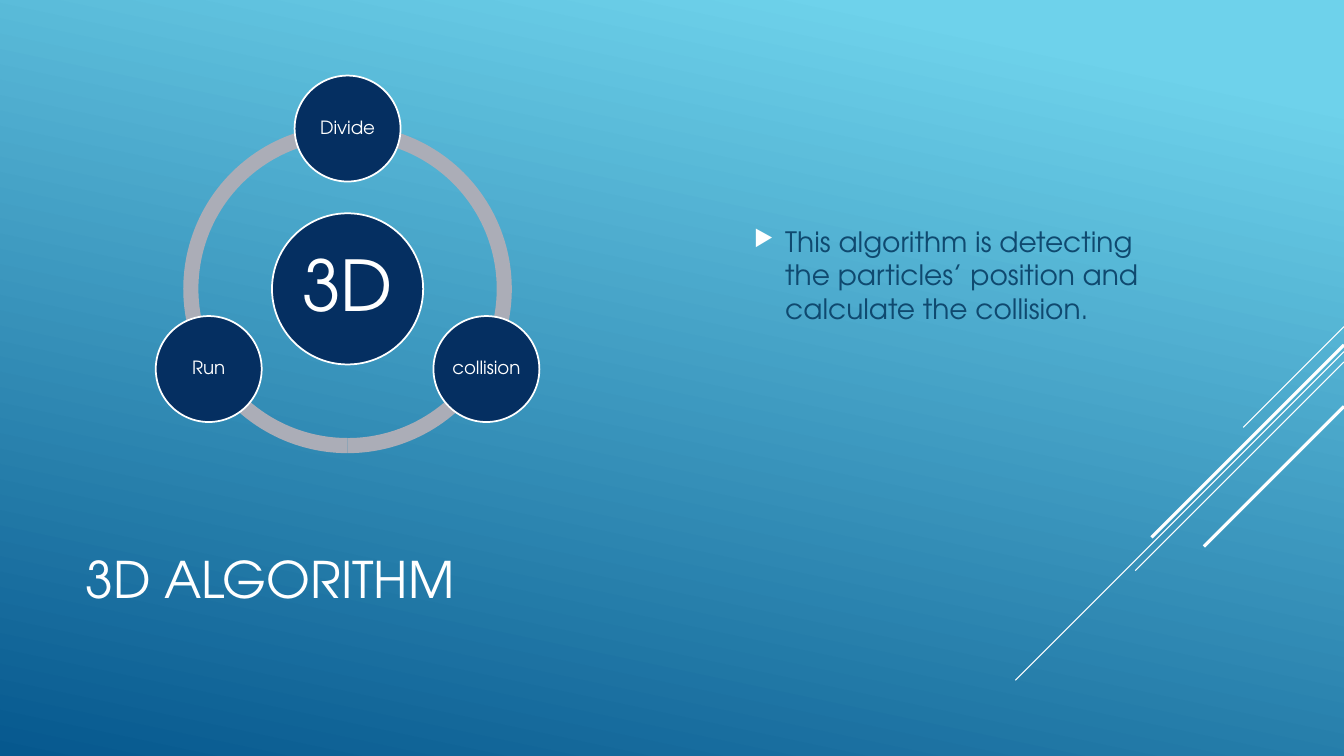
"""Builds the 3D algorithm slide with its orbit diagram."""
from math import cos, radians, sin

from lxml.etree import SubElement
from pptx import Presentation
from pptx.dml.color import RGBColor
from pptx.enum.shapes import MSO_CONNECTOR, MSO_SHAPE as SHAPE
from pptx.enum.text import MSO_ANCHOR, PP_ALIGN as ALIGN
from pptx.oxml.ns import qn
from pptx.util import Cm, Pt

FONT = "TeX Gyre Adventor"
WHITE, NAVY, GREY, TEAL = "FFFFFF", "052F61", "ABADB7", "0F496F"
WIDTH, HEIGHT = 33.87, 19.05


def rgb(value):
    return RGBColor.from_string(value)


def write(sp, text, size, color=WHITE, align=ALIGN.LEFT, inset=0.25, spacing=1.0, after=0):
    tf = sp.text_frame
    tf.word_wrap = True
    tf.vertical_anchor = MSO_ANCHOR.MIDDLE
    tf.margin_left = tf.margin_right = Cm(inset)
    tf.margin_top = tf.margin_bottom = Cm(min(inset, 0.18))
    p = tf.paragraphs[0]
    p.alignment, p.line_spacing, p.space_after = align, spacing, Pt(after)
    r = p.add_run()
    r.text = text
    r.font.name, r.font.size = FONT, Pt(size)
    r.font.color.rgb = rgb(color)
    return p


prs = Presentation()
prs.slide_width, prs.slide_height = Cm(WIDTH), Cm(HEIGHT)
s = prs.slides.add_slide(prs.slide_layouts[6])

bg = s.background.fill
bg.gradient()
bg.gradient_angle = 360 - 102
for stop, (position, color) in zip(bg.gradient_stops, [(0.1, "6ED2EB"), (1, "06588E")]):
    stop.position = position
    stop.color.rgb = rgb(color)

# top at the right edge, horizontal reach, line width
streaks = [(8.23, 2.54, 0.75), (8.86, 8.28, 0.75), (9.12, 5.26, 0.75),
           (8.69, 4.85, 2.25), (10.24, 3.53, 2.25)]
for top, reach, weight in streaks:
    line = s.shapes.add_connector(MSO_CONNECTOR.STRAIGHT, Cm(WIDTH), Cm(top),
                                  Cm(WIDTH - reach), Cm(top + reach))
    line.line.color.rgb = rgb(WHITE)
    line.line.width = Pt(weight)
    SubElement(line._element.spPr, qn("a:effectLst"))

title = s.shapes.add_textbox(Cm(1.9), Cm(12.47), Cm(23.7), Cm(4.19))
write(title, "3D ALGORITHM", 36)

center_x, center_y, ring, orbit = 8.76, 7.28, 8.28, 4.04
for start, end in [(90, 162), (18, 90), (162, 18)]:
    arc = s.shapes.add_shape(SHAPE.BLOCK_ARC, Cm(center_x - ring / 2),
                             Cm(center_y - ring / 2), Cm(ring), Cm(ring))
    arc.shadow.inherit = False
    arc.fill.solid()
    arc.fill.fore_color.rgb = rgb(GREY)
    arc.line.fill.background()
    arc.adjustments[0] = start * 0.6
    arc.adjustments[1] = end * 0.6
    arc.adjustments[2] = 0.046

circles = [("3D", 0, 0, 3.81, 50, 0.18), ("Divide", orbit, -90, 2.67, 13, 0.05),
           ("collision", orbit, 30, 2.67, 13, 0.05), ("Run", orbit, 150, 2.67, 13, 0.05)]
for label, distance, angle, size, points, inset in circles:
    x = center_x + distance * cos(radians(angle))
    y = center_y + distance * sin(radians(angle))
    circle = s.shapes.add_shape(SHAPE.OVAL, Cm(x - size / 2), Cm(y - size / 2),
                                Cm(size), Cm(size))
    circle.shadow.inherit = False
    circle.fill.solid()
    circle.fill.fore_color.rgb = rgb(NAVY)
    circle.line.color.rgb = rgb(WHITE)
    circle.line.width = Pt(1.25)
    write(circle, label, points, align=ALIGN.CENTER, inset=inset, spacing=0.9,
          after=points * 0.35)

body = s.shapes.add_textbox(Cm(18.75), Cm(1.9), Cm(11.1), Cm(10.03))
p = write(body, "This algorithm is detecting the particles’ position and calculate the collision.",
          20, color=TEAL, after=6)
p.space_before = Pt(4)
pPr = p._p.get_or_add_pPr()
pPr.set("marL", str(Cm(0.79)))
pPr.set("indent", str(-Cm(0.79)))
SubElement(SubElement(pPr, qn("a:buClr")), qn("a:srgbClr"), val=WHITE)
SubElement(pPr, qn("a:buSzPct"), val="80000")
SubElement(pPr, qn("a:buChar"), char="▶")

prs.save("out.pptx")
